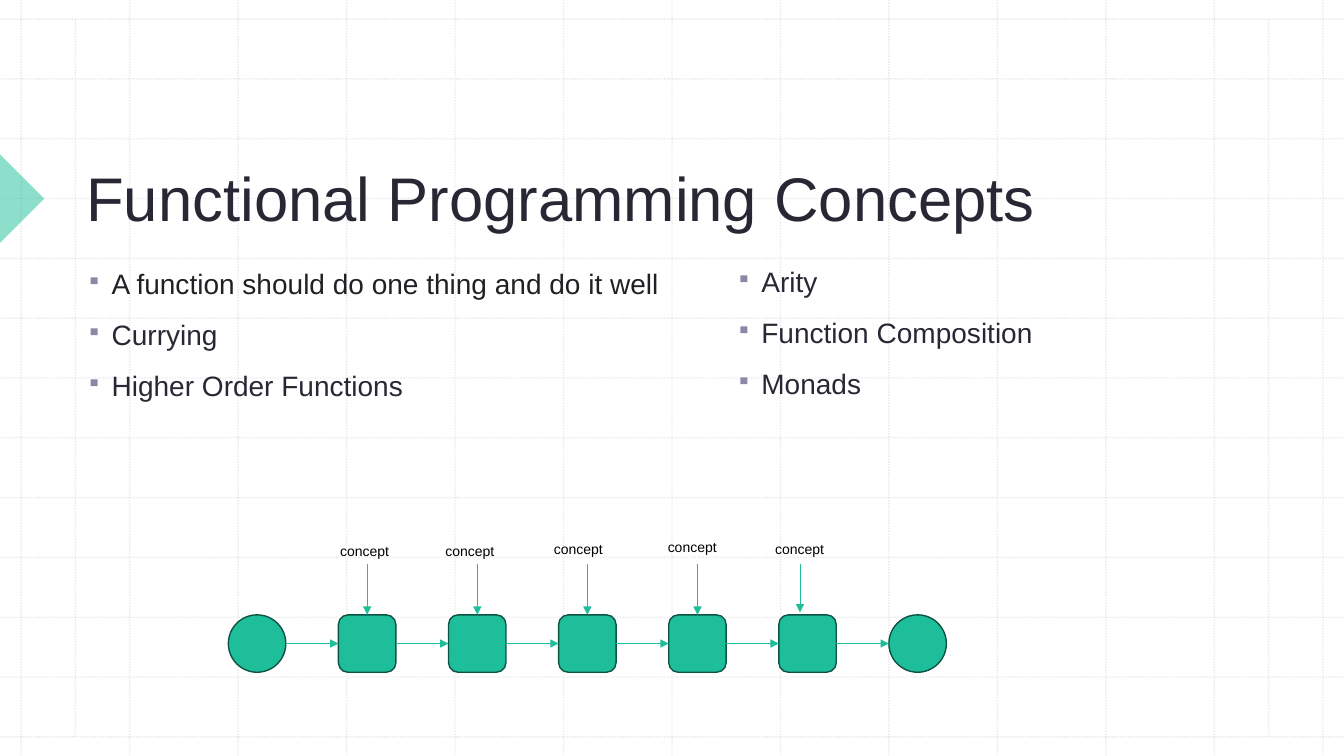
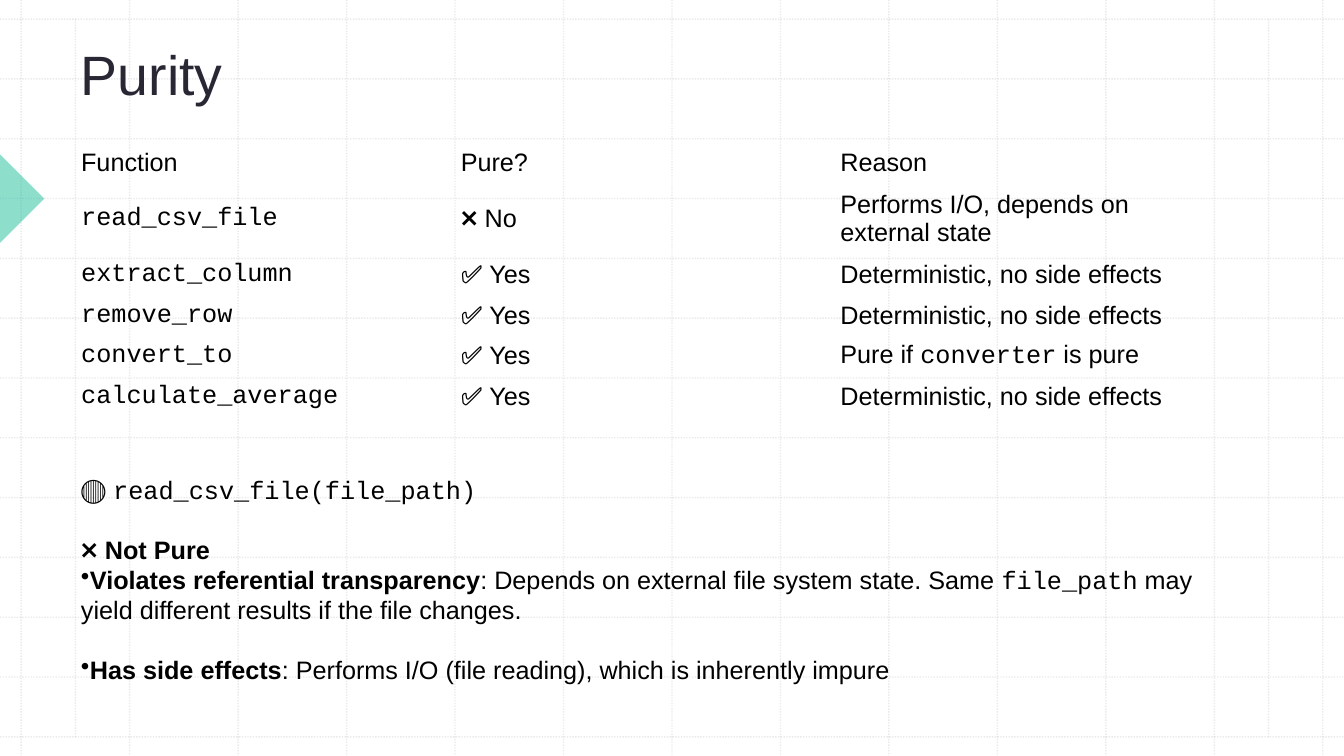
import lxml.etree
import pptx
import pptx.dml.color
import pptx.enum.dml
import pptx.enum.shapes
import pptx.enum.text
import pptx.oxml.ns
import pptx.util

COLORS = {
    "accent": "1EBE9B",
    "outline": "0D5344",
    "grid": "BCBCBC",
    "title": "2A2735",
    "lead": "202124",
    "bullet": "8D87A6",
    "text": "000000",
}
SANS, MONO = "Arial", "Courier New"
SHAPE = pptx.enum.shapes.MSO_SHAPE
ANCHOR = pptx.enum.text.MSO_ANCHOR
PLAIN_TABLE = "{2D5ABB26-0587-4C30-8999-92F81FD0307C}"


def rgb(name):
    return pptx.dml.color.RGBColor.from_string(COLORS[name])


def add_element(parent, tag, **attributes):
    element = lxml.etree.SubElement(parent, pptx.oxml.ns.qn(tag))
    for key, value in attributes.items():
        element.set(key, str(value))
    return element


def set_alpha(fill_parent, percent):
    for color in fill_parent.iter(pptx.oxml.ns.qn("a:srgbClr")):
        add_element(color, "a:alpha", val=percent * 1000)


def code(text):
    return text, {"font": MONO}


def bold(text):
    return text, {"bold": True}


class Deck:
    WIDTH, HEIGHT = 13.33, 7.5
    LEFT, TOP = 0.21, 0.19
    STEPS = 12

    def __init__(self):
        self.deck = pptx.Presentation()
        self.deck.slide_width = pptx.util.Inches(self.WIDTH)
        self.deck.slide_height = pptx.util.Inches(self.HEIGHT)
        self.page = None

    def columns(self, count):
        return pptx.util.Inches(count * (self.WIDTH - 2 * self.LEFT) / self.STEPS)

    def rows(self, count):
        return pptx.util.Inches(count * (self.HEIGHT - 2 * self.TOP) / self.STEPS)

    def x(self, column):
        return pptx.util.Inches(self.LEFT) + self.columns(column)

    def y(self, row):
        return pptx.util.Inches(self.TOP) + self.rows(row)

    def frame(self, column, row, width, height):
        return self.x(column), self.y(row), self.columns(width), self.rows(height)

    def new_page(self, title, frame, size):
        self.page = self.deck.slides.add_slide(self.deck.slide_layouts[6])
        self.background()
        self.text(frame, [[title]], size=size, color="title", anchor=ANCHOR.BOTTOM)

    def background(self):
        shapes = self.page.shapes.add_group_shape().shapes
        right, bottom = self.deck.slide_width, self.deck.slide_height
        lines = []
        for step in range(self.STEPS + 1):
            lines.append((self.x(step), 0, self.x(step), bottom))
            lines.append((0, self.y(step), right, self.y(step)))
        for column in (0.5, self.STEPS - 0.5):
            lines.append((self.x(column), self.y(0), self.x(column), self.y(self.STEPS)))
        for ends in lines:
            line = self.line(ends, "grid", 1, shapes)
            line.line.dash_style = pptx.enum.dml.MSO_LINE.ROUND_DOT
            set_alpha(line.line._get_or_add_ln(), 30)
        side = pptx.util.Inches(0.62)
        marker = self.shape(SHAPE.RIGHT_TRIANGLE, (-side // 2, self.y(3) - side // 2, side, side))
        marker.rotation = 225
        set_alpha(marker._element.spPr, 50)

    def line(self, ends, color, width, shapes=None):
        kind = pptx.enum.shapes.MSO_CONNECTOR.STRAIGHT
        line = (shapes or self.page.shapes).add_connector(kind, *map(int, ends))
        line.line.color.rgb = rgb(color)
        line.line.width = pptx.util.Pt(width)
        add_element(line._element.spPr, "a:effectLst")
        return line

    def arrow(self, ends, begin=None, end=None):
        arrow = self.line(ends, "accent", 0.5)
        add_element(arrow.line._get_or_add_ln(), "a:tailEnd", type="triangle")
        if begin:
            arrow.begin_connect(*begin)
        if end:
            arrow.end_connect(*end)

    def shape(self, kind, frame, outline=None):
        shape = self.page.shapes.add_shape(kind, *map(int, frame))
        shape.shadow.inherit = False
        shape.fill.solid()
        shape.fill.fore_color.rgb = rgb("accent")
        if outline:
            shape.line.color.rgb = rgb(outline)
            shape.line.width = pptx.util.Pt(1)
        else:
            shape.line.fill.background()
        return shape

    def spans(self, para, parts, size, color):
        for part in parts:
            text, style = part if isinstance(part, tuple) else (part, {})
            span = para.add_run()
            span.text = text
            span.font.name = style.get("font", SANS)
            span.font.bold = style.get("bold", False)
            span.font.size = pptx.util.Pt(size)
            span.font.color.rgb = rgb(style.get("color", color))

    def text(self, frame, paras, size, color="text", anchor=ANCHOR.TOP, wrap=True):
        box = self.page.shapes.add_textbox(*self.frame(*frame)).text_frame
        box.word_wrap = wrap
        box.vertical_anchor = anchor
        for index, parts in enumerate(paras):
            para = box.add_paragraph() if index else box.paragraphs[0]
            self.spans(para, parts, size, color)
        return box.paragraphs

    def bullets(self, frame, items):
        for index, para in enumerate(self.text(frame, items, size=20, color="title")):
            style = para._p.get_or_add_pPr()
            style.set("marL", str(pptx.util.Inches(0.25)))
            style.set("indent", str(-pptx.util.Inches(0.25)))
            add_element(add_element(style, "a:buClr"), "a:srgbClr", val=COLORS["bullet"])
            add_element(style, "a:buSzPct", val=75000)
            add_element(style, "a:buChar", char="▪")
            para.line_spacing = 1.1
            if index:
                para.space_before = pptx.util.Pt(10)

    def table(self, column, row, column_width, row_heights, records):
        count = len(records[0])
        frame = self.frame(column, row, column_width * count, sum(row_heights))
        table = self.page.shapes.add_table(len(records), count, *frame).table
        table.first_row = table.horz_banding = False
        table._tbl.tblPr.find(pptx.oxml.ns.qn("a:tableStyleId")).text = PLAIN_TABLE
        for table_column in table.columns:
            table_column.width = self.columns(column_width)
        for table_row, height, record in zip(table.rows, row_heights, records):
            table_row.height = self.rows(height)
            for cell, parts in zip(table_row.cells, record):
                cell.fill.background()
                cell.vertical_anchor = ANCHOR.MIDDLE
                self.spans(cell.text_frame.paragraphs[0], parts, 18, "text")

    def pipeline(self, first, last, row, steps, labels):
        nodes = []
        for step in range(steps):
            column = first + (last - first) * step / (steps - 1)
            kind = SHAPE.OVAL if step in (0, steps - 1) else SHAPE.ROUNDED_RECTANGLE
            nodes.append(self.shape(kind, self.frame(column, row, 0.53, 0.96), "outline"))
        boxes = nodes[1:-1]
        for start, stop in zip(nodes, nodes[1:]):
            middle = start.top + start.height // 2
            self.arrow(
                (start.left + start.width, middle, stop.left, middle),
                begin=(start, 3) if start in boxes else None,
                end=(stop, 1) if stop in boxes else None,
            )
        for node, (column, label_row, shift) in zip(boxes, labels):
            self.text((column, label_row, 0.65, 0.46), [["concept"]], size=10, wrap=False)
            center = node.left + node.width // 2 + self.columns(shift)
            ends = (center, self.y(row - 0.85), center, self.y(row - 0.04))
            self.arrow(ends, end=None if shift else (node, 0))


def concepts_page(deck):
    deck.new_page("Functional Programming Concepts", (0.51, 1.01, 10.5, 2.66), 44)
    lead = ("A function should do one thing and do it well", {"color": "lead"})
    deck.bullets((0.51, 4, 5.62, 3.62), [[lead], ["Currying"], ["Higher Order Functions"]])
    deck.bullets((6.5, 3.96, 4.61, 4.06), [["Arity"], ["Function Composition"], ["Monads"]])
    labels = [
        (2.85, 8.66, 0),
        (3.82, 8.66, 0),
        (4.82, 8.63, 0),
        (5.87, 8.6, 0),
        (6.86, 8.63, -0.07),
    ]
    deck.pipeline(1.91, 8, 9.96, 7, labels)


def purity_page(deck):
    deck.new_page("Purity", (0.46, 0.37, 10.5, 1.18), 39.6)
    paras = deck.text(
        (0.46, 7.53, 10.44, 3.74),
        [
            ["🔴 ", code("read_csv_file(file_path)")],
            [bold("❌ Not Pure")],
            [
                bold("Violates referential transparency"),
                ": Depends on external file system state. Same ",
                code("file_path"),
                " may yield different results if the file changes.",
            ],
            [
                bold("Has side effects"),
                ": Performs I/O (file reading), which is inherently impure",
            ],
        ],
        size=18,
    )
    for para in paras[2:]:
        add_element(para._p.get_or_add_pPr(), "a:buChar", char="•")
    for para in paras[1::2]:
        para.space_before = pptx.util.Pt(21)

    yes, no = ["✅ Yes"], ["❌ No"]
    steady = ["Deterministic, no side effects"]
    records = [
        [["Function"], ["Pure?"], ["Reason"]],
        [[code("read_csv_file")], no, ["Performs I/O, depends on external state"]],
        [[code("extract_column")], yes, steady],
        [[code("remove_row")], yes, steady],
        [[code("convert_to")], yes, ["Pure if ", code("converter"), " is pure"]],
        [[code("calculate_average")], yes, steady],
    ]
    deck.table(0.46, 2.06, 3.5, [0.64, 1.21] + [0.67] * 4, records)


def main():
    deck = Deck()
    concepts_page(deck)
    purity_page(deck)
    deck.deck.save("out.pptx")


if __name__ == "__main__":
    main()
